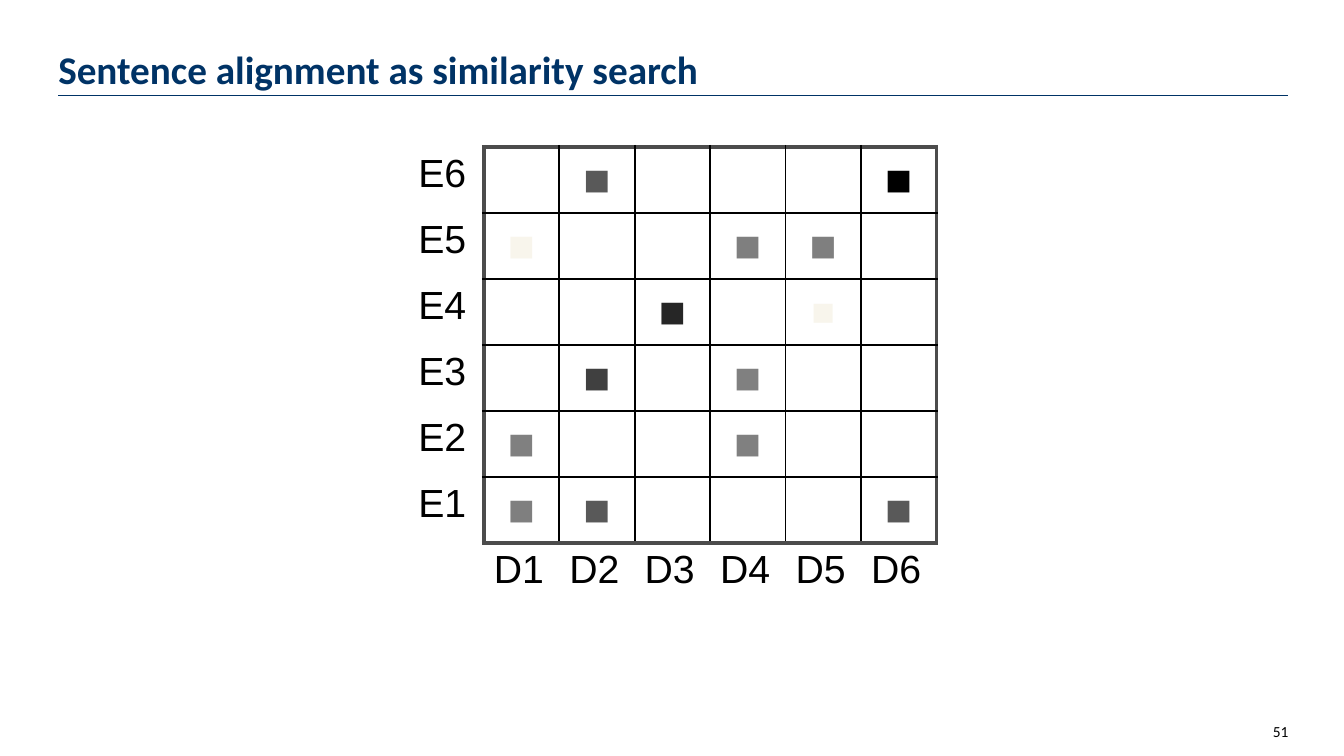
from lxml import etree
from pptx import Presentation
from pptx.dml.color import RGBColor
from pptx.enum.shapes import MSO_CONNECTOR
from pptx.enum.text import MSO_ANCHOR, PP_ALIGN
from pptx.oxml.ns import qn
from pptx.util import Cm, Pt

STRAIGHT = MSO_CONNECTOR.STRAIGHT
TOP, MIDDLE, BOTTOM = MSO_ANCHOR.TOP, MSO_ANCHOR.MIDDLE, MSO_ANCHOR.BOTTOM
LEFT, CENTER, RIGHT = PP_ALIGN.LEFT, PP_ALIGN.CENTER, PP_ALIGN.RIGHT

NAVY, BLACK = "003366", "000000"
FRAME, INNER = ("4C4C4C", 3), ("000000", 1.5)
COUNT = 6

# (English sentence, German sentence): (shade, size)
MATCHES = {
    (6, 2): ("595959", 32), (6, 6): (BLACK, 32),
    (5, 1): ("F8F5EC", 32), (5, 4): ("7F7F7F", 32), (5, 5): ("7F7F7F", 32),
    (4, 3): ("262626", 32), (4, 5): ("F8F5EC", 28),
    (3, 2): ("404040", 32), (3, 4): ("808080", 32),
    (2, 1): ("808080", 32), (2, 4): ("808080", 32),
    (1, 1): ("7F7F7F", 32), (1, 2): ("595959", 32), (1, 6): ("595959", 32),
}


def color(hex_string):
    return RGBColor.from_string(hex_string)


def write(frame, text, font, size, shade, align=LEFT, bold=False):
    para = frame.paragraphs[0]
    para.alignment = align
    span = para.add_run()
    span.text = text
    span.font.name = font
    span.font.size = Pt(size)
    span.font.bold = bold
    span.font.color.rgb = color(shade)
    return para


def add_text_box(page, left, top, width, height, anchor, inset=0):
    box = page.shapes.add_textbox(Cm(left), Cm(top), Cm(width), Cm(height))
    frame = box.text_frame
    frame.word_wrap = True
    frame.vertical_anchor = anchor
    frame.margin_left = Cm(inset)
    frame.margin_right = frame.margin_top = frame.margin_bottom = 0
    return frame


def add_heading(page, left, top, width, height):
    frame = add_text_box(page, left, top, width, height, BOTTOM)
    para = write(frame, "Sentence alignment as similarity search", "Calibri", 28, NAVY, bold=True)
    para.line_spacing = Pt(28)


def add_rule(page, left, top, width):
    rule = page.shapes.add_connector(STRAIGHT, Cm(left), Cm(top), Cm(left + width), Cm(top))
    rule.line.color.rgb = color(NAVY)
    rule.line.width = Pt(0.75)
    etree.SubElement(rule._element.spPr, qn("a:effectLst"))


def add_page_number(page, left, top, width, height):
    frame = add_text_box(page, left, top, width, height, MIDDLE, inset=0.25)
    write(frame, "51", "Calibri", 11, BLACK, RIGHT)


def edge_style(edge, first, in_grid):
    """Style of a grid line, where first is the index of the outer edge."""
    if not in_grid or not first <= edge <= first + COUNT:
        return None
    return FRAME if edge in (first, first + COUNT) else INNER


def set_borders(cell, row, column):
    in_row, in_column = row < COUNT, column > 0
    borders = {
        "a:lnL": edge_style(column, 1, in_row),
        "a:lnR": edge_style(column + 1, 1, in_row),
        "a:lnT": edge_style(row, 0, in_column),
        "a:lnB": edge_style(row + 1, 0, in_column),
    }
    properties = cell._tc.get_or_add_tcPr()
    for side, style in borders.items():
        line = etree.SubElement(properties, qn(side))
        if style is None:
            etree.SubElement(line, qn("a:noFill"))
            continue
        shade, width = style
        line.set("w", str(Pt(width)))
        fill = etree.SubElement(line, qn("a:solidFill"))
        etree.SubElement(fill, qn("a:srgbClr"), val=shade)


def fill_cell(cell, row, column):
    set_borders(cell, row, column)
    cell.fill.background()
    english = COUNT - row
    match = MATCHES.get((english, column))
    if match:
        shade, size = match
        cell.vertical_anchor = MIDDLE
        write(cell.text_frame, "■", "Arial", size, shade, CENTER)
    elif (column == 0) != (row == COUNT):
        label = f"E{english}" if column == 0 else f"D{column}"
        cell.vertical_anchor = TOP
        write(cell.text_frame, label, "Arial", 28, BLACK)


def add_similarity_matrix(page, left, top, width, height):
    size = COUNT + 1
    holder = page.shapes.add_table(size, size, Cm(left), Cm(top), Cm(width), Cm(height))
    table = holder.table
    table.first_row = table.horz_banding = False
    for row in range(size):
        for column in range(size):
            fill_cell(table.cell(row, column), row, column)


def main():
    deck = Presentation()
    deck.slide_width, deck.slide_height = Cm(33.87), Cm(19.05)
    page = deck.slides.add_slide(deck.slide_layouts[6])
    add_rule(page, 1.47, 2.4, 31)
    add_heading(page, 1.47, 0.33, 21.44, 2.01)
    add_similarity_matrix(page, 10.29, 3.7, 13.31, 11.66)
    add_page_number(page, 30.79, 17.8, 1.68, 1.25)
    deck.save("out.pptx")


if __name__ == "__main__":
    main()
